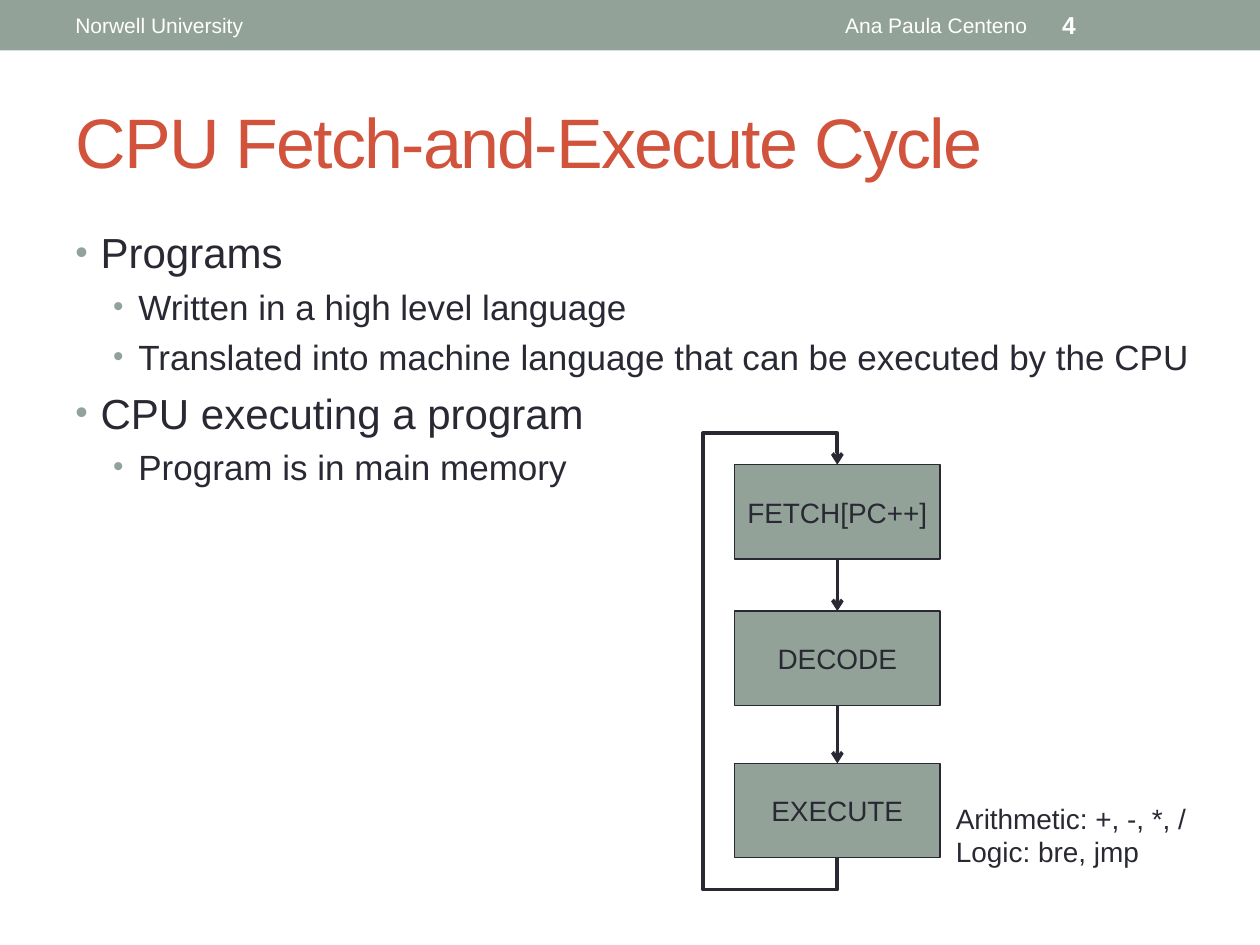
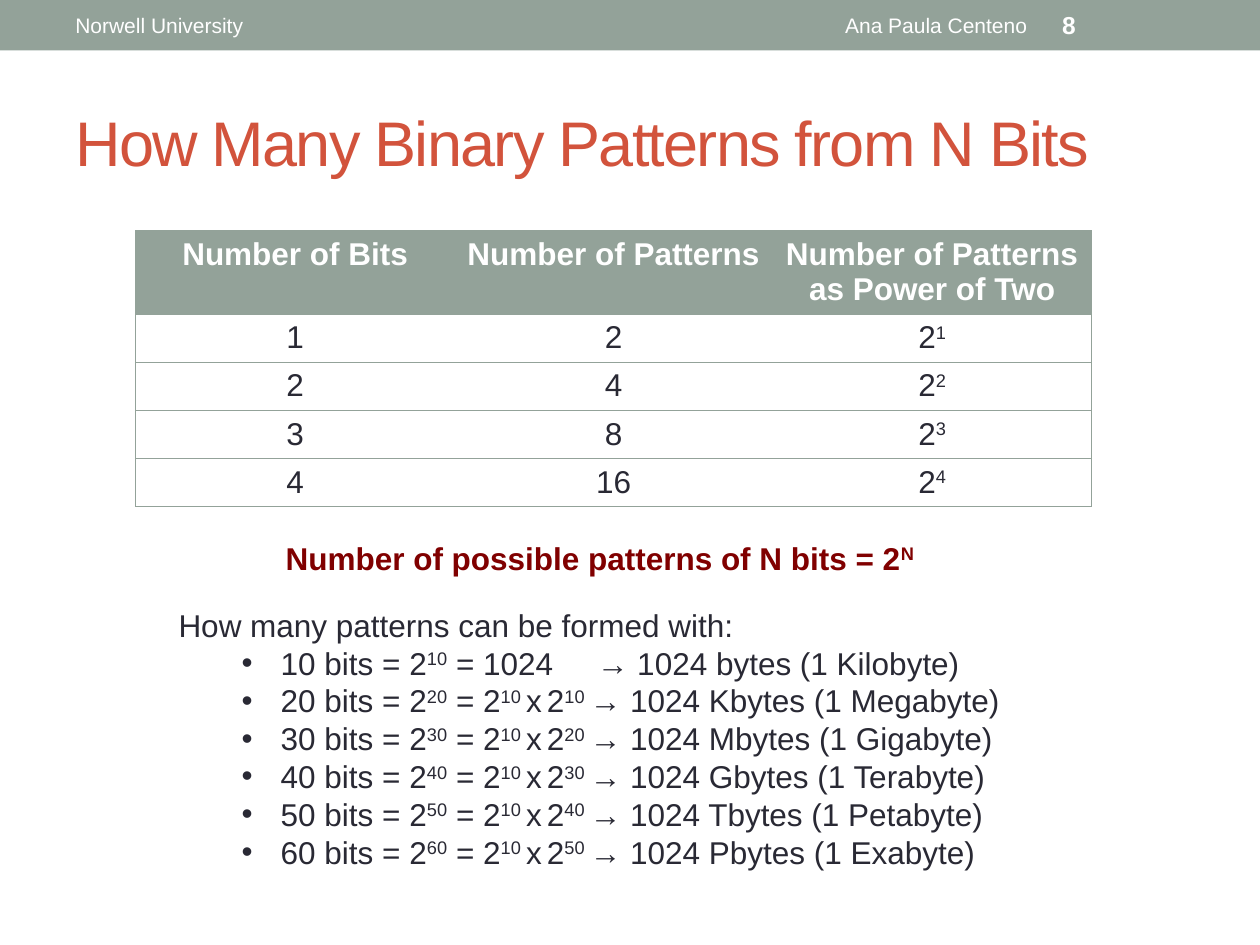
from lxml.etree import SubElement
from pptx import Presentation
from pptx.dml.color import RGBColor
from pptx.enum.shapes import MSO_CONNECTOR, MSO_SHAPE
from pptx.enum.text import MSO_ANCHOR, MSO_AUTO_SIZE, PP_ALIGN
from pptx.oxml.ns import qn
from pptx.util import Cm, Pt

SAGE, RUST, INK, MAROON, WHITE = "93A299", "D2533C", "292934", "800000", "FFFFFF"


def color(value):
    return RGBColor.from_string(value)


class Deck:
    font = "Arial"

    def __init__(self):
        self.presentation = Presentation()
        self.presentation.slide_width = Cm(25.4)
        self.presentation.slide_height = Cm(19.05)
        self.slide = None

    def add_slide(self, title, number, title_size):
        self.slide = self.presentation.slides.add_slide(self.presentation.slide_layouts[6])
        self.box(0, 0, 25.4, 1.02, SAGE)
        self.header("Ana Paula Centeno", 9.53, 11.43, align=PP_ALIGN.RIGHT)
        self.header(number, 21.16, 2.97, size=14, bold=True)
        self.header("Norwell University", 1.27, 8.05)
        frame = self.frame(1.27, 1.47, 22.86, 2.74, anchor=MSO_ANCHOR.MIDDLE)
        self.add_text(frame.paragraphs[0], title, title_size, RUST)
        self.track(frame.paragraphs[0].runs[0], -1)

    def header(self, text, left, width, size=12, bold=False, align=PP_ALIGN.LEFT):
        frame = self.frame(left, 0.05, width, 0.91, anchor=MSO_ANCHOR.MIDDLE)
        self.add_text(frame.paragraphs[0], text, size, WHITE, bold, align)

    def frame(self, left, top, width, height, anchor=MSO_ANCHOR.TOP, wrap=True):
        frame = self.slide.shapes.add_textbox(Cm(left), Cm(top), Cm(width), Cm(height)).text_frame
        frame.word_wrap = wrap
        frame.auto_size = MSO_AUTO_SIZE.NONE if wrap else MSO_AUTO_SIZE.SHAPE_TO_FIT_TEXT
        frame.vertical_anchor = anchor
        return frame

    def add_text(self, paragraph, text, size, ink=INK, bold=False, align=PP_ALIGN.LEFT):
        paragraph.alignment = align
        for index, part in enumerate(text.split("^")):
            if not part:
                continue
            run = paragraph.add_run()
            run.text = part
            run.font.name = self.font
            run.font.size = Pt(size)
            run.font.bold = bold
            run.font.color.rgb = color(ink)
            if index % 2:
                run.font._element.set("baseline", "30000")

    def lines(self, frame, texts, size):
        frame.text = "\n" * (len(texts) - 1)
        for paragraph, text in zip(frame.paragraphs, texts):
            self.add_text(paragraph, text, size)

    def track(self, run, points):
        run.font._element.set("spc", str(points * 100))

    def bullet(self, paragraph, margin, hanging, ink=INK, percent=100):
        properties = paragraph._p.get_or_add_pPr()
        properties.set("marL", str(Cm(margin)))
        properties.set("indent", str(-Cm(hanging)))
        bullet_color = SubElement(properties, qn("a:buClr"))
        SubElement(bullet_color, qn("a:srgbClr"), val=ink)
        SubElement(properties, qn("a:buSzPct"), val=str(percent * 1000))
        SubElement(properties, qn("a:buFont"), typeface=self.font)
        SubElement(properties, qn("a:buChar"), char="•")

    def box(self, left, top, width, height, fill, text="", kind=MSO_SHAPE.RECTANGLE):
        shape = self.slide.shapes.add_shape(kind, Cm(left), Cm(top), Cm(width), Cm(height))
        shape.shadow.inherit = False
        shape.fill.solid()
        shape.fill.fore_color.rgb = color(fill)
        if not text:
            shape.line.fill.background()
            return
        shape.line.color.rgb = color(INK)
        shape.line.width = Pt(0.75)
        shape.text_frame.word_wrap = False
        shape.text_frame.vertical_anchor = MSO_ANCHOR.MIDDLE
        self.add_text(shape.text_frame.paragraphs[0], text, 16, align=PP_ALIGN.CENTER)

    def arrow_line(self, line):
        line.color.rgb = color(INK)
        line.width = Pt(2.08)
        SubElement(line._get_or_add_ln(), qn("a:tailEnd"), type="arrow")

    def arrow(self, x, top, bottom):
        connector = self.slide.shapes.add_connector(
            MSO_CONNECTOR.STRAIGHT, Cm(x), Cm(top), Cm(x), Cm(bottom))
        SubElement(connector._element.spPr, qn("a:effectLst"))
        self.arrow_line(connector.line)

    def route(self, points):
        start, *rest = [(Cm(x), Cm(y)) for x, y in points]
        builder = self.slide.shapes.build_freeform(*start)
        builder.add_line_segments(rest, close=False)
        shape = builder.convert_to_shape()
        shape.shadow.inherit = False
        shape.fill.background()
        self.arrow_line(shape.line)

    def border(self, cell, side, visible):
        line = SubElement(cell._tc.get_or_add_tcPr(), qn(f"a:ln{side}"), w=str(Pt(0.75)))
        if visible:
            SubElement(SubElement(line, qn("a:solidFill")), qn("a:srgbClr"), val=SAGE)
        else:
            SubElement(line, qn("a:noFill"))

    def table(self, left, top, column_width, row_heights, rows):
        columns = len(rows[0])
        table = self.slide.shapes.add_table(
            len(rows), columns, Cm(left), Cm(top),
            Cm(column_width * columns), Cm(sum(row_heights))).table
        table.horz_banding = False
        for column in table.columns:
            column.width = Cm(column_width)
        for y, (values, height) in enumerate(zip(rows, row_heights)):
            table.rows[y].height = Cm(height)
            for x, value in enumerate(values):
                cell = table.cell(y, x)
                is_header = y == 0
                self.add_text(cell.text_frame.paragraphs[0], value, 18,
                              WHITE if is_header else INK, is_header, PP_ALIGN.CENTER)
                for side, visible in (("L", x == 0), ("R", x == columns - 1),
                                      ("T", True), ("B", True)):
                    self.border(cell, side, visible)
                if is_header:
                    cell.fill.solid()
                    cell.fill.fore_color.rgb = color(SAGE)
                else:
                    cell.fill.background()


def build_cycle(deck):
    deck.add_slide("CPU Fetch-and-Execute Cycle", "4", 40)
    outline = [
        (0, "Programs"),
        (1, "Written in a high level language"),
        (1, "Translated into machine language that can be executed by the CPU"),
        (0, "CPU executing a program"),
        (1, "Program is in main memory"),
    ]
    frame = deck.frame(1.27, 4.45, 22.99, 13.74)
    frame.text = "\n" * (len(outline) - 1)
    for paragraph, (level, text) in zip(frame.paragraphs, outline):
        size = (24, 20)[level]
        paragraph.level = level
        paragraph.space_before = Pt(size * 0.23)
        deck.add_text(paragraph, text, size)
        deck.bullet(paragraph, (0.51, 1.27)[level], 0.51, SAGE, 85)

    left, width, height, center = 14.81, 4.14, 1.9, 16.88
    tops = (9.37, 12.32, 15.39)
    for top, step in zip(tops, ("FETCH[PC++]", "DECODE", "EXECUTE")):
        deck.box(left, top, width, height, SAGE, step, MSO_SHAPE.FLOWCHART_PROCESS)
    for top, next_top in zip(tops, tops[1:]):
        deck.arrow(center, top + height, next_top)
    bottom, gap = tops[-1] + height, 0.64
    deck.route([(center, bottom), (center, bottom + gap), (left - gap, bottom + gap),
                (left - gap, tops[0] - gap), (center, tops[0] - gap), (center, tops[0])])
    note = deck.frame(19.02, 16.03, 5.21, 1.63, wrap=False)
    deck.lines(note, ["Arithmetic: +, -, *, /", "Logic: bre, jmp"], 16)


def build_patterns(deck):
    deck.add_slide("How Many Binary Patterns from N Bits", "8", 36)
    rows = [("Number of Bits", "Number of Patterns", "Number of Patterns as Power of Two")]
    rows += [(str(bits), str(2 ** bits), f"2^{bits}^") for bits in range(1, 5)]
    deck.table(2.74, 4.65, 6.42, [1.68] + [0.97] * 4, rows)

    formula = deck.frame(5.51, 10.74, 13.34, 1.02, wrap=False)
    deck.add_text(formula.paragraphs[0], "Number of possible patterns of N bits = 2^N^",
                  18, MAROON, True)

    units = [("Kbytes", "Megabyte"), ("Mbytes", "Gigabyte"), ("Gbytes", "Terabyte"),
             ("Tbytes", "Petabyte"), ("Pbytes", "Exabyte")]
    texts = ["How many patterns can be formed with:",
             "10 bits = 2^10^ = 1024^^ ^^→ 1024 bytes (1 Kilobyte)"]
    texts += [f"{bits} bits = 2^{bits}^ = 2^10 ^x^ ^2^{bits - 10} ^→ 1024 {unit} (1 {total})"
              for bits, (unit, total) in zip(range(20, 70, 10), units)]
    frame = deck.frame(3.35, 12.09, 17.4, 5.64, wrap=False)
    deck.lines(frame, texts, 18)
    for paragraph in frame.paragraphs[1:]:
        paragraph.level = 1
        deck.bullet(paragraph, 2.06, 0.79)
    deck.track(frame.paragraphs[1].runs[3], 20)


def main():
    deck = Deck()
    build_cycle(deck)
    build_patterns(deck)
    deck.presentation.save("out.pptx")


if __name__ == "__main__":
    main()
